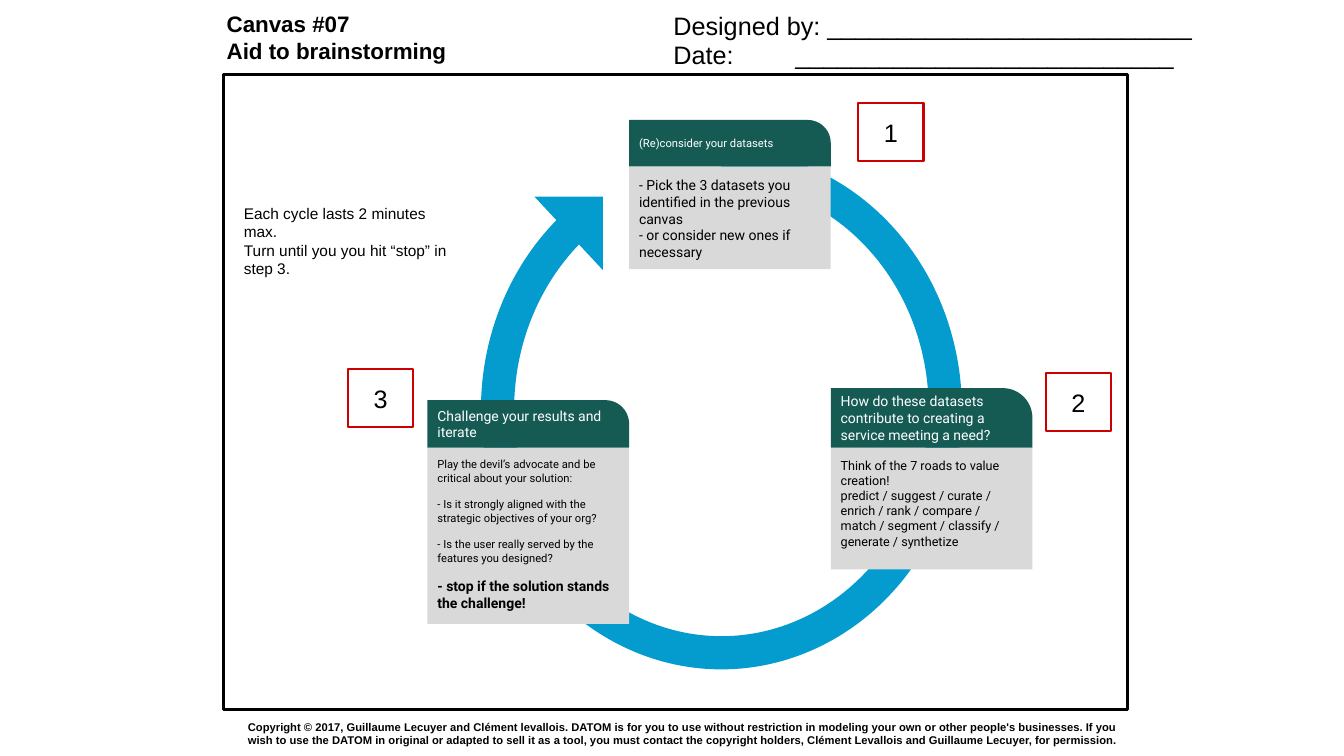
from dataclasses import dataclass

from lxml.etree import SubElement
from pptx import Presentation
from pptx.dml.color import RGBColor
from pptx.enum.shapes import MSO_SHAPE
from pptx.enum.text import MSO_ANCHOR, PP_ALIGN
from pptx.oxml.ns import qn
from pptx.util import Inches, Pt


@dataclass(frozen=True)
class Theme:
    """Colours, fonts and type sizes of the canvas."""
    black: str = "000000"
    white: str = "FFFFFF"
    blue: str = "049CCF"
    green: str = "155B54"
    grey: str = "D9D9D9"
    red: str = "CC0000"
    label_font: str = "Arial"
    card_font: str = "Roboto"
    tiny: float = 8
    small: float = 9
    body: float = 10
    note: float = 11
    title: float = 16
    large: float = 18
    inset: float = 0.1
    paragraph_gap: float = 9.4


THEME = Theme()


@dataclass(frozen=True)
class Style:
    """Character style of a paragraph."""
    size: float
    font: str = THEME.label_font
    color: str = THEME.black
    bold: bool = False


def write(box, lines, anchor=MSO_ANCHOR.TOP, align=PP_ALIGN.LEFT, gap=0):
    """Fill a box with (text, style) paragraphs; newlines become line breaks."""
    frame = box.text_frame
    frame.word_wrap = True
    frame.vertical_anchor = anchor
    frame.margin_left = frame.margin_right = Inches(THEME.inset)
    frame.margin_top = frame.margin_bottom = Inches(THEME.inset)
    for index, (text, style) in enumerate(lines):
        para = frame.add_paragraph() if index else frame.paragraphs[0]
        para.alignment = align
        if index and gap:
            para.space_before = Pt(gap)
        for number, piece in enumerate(text.split("\n")):
            if number:
                para.add_line_break()
            span = para.add_run()
            span.text = piece
            span.font.size = Pt(style.size)
            span.font.name = style.font
            span.font.bold = style.bold
            span.font.color.rgb = RGBColor.from_string(style.color)


def add_text(page, place, lines, **options):
    """Add a wrapped text box."""
    box = page.shapes.add_textbox(*map(Inches, place))
    write(box, lines, **options)
    return box


def add_block(shapes, kind, place, fill=None, line=None, width=0):
    """Add a flat preset shape with an optional fill and outline."""
    box = shapes.add_shape(kind, *map(Inches, place))
    box.shadow.inherit = False
    if fill:
        box.fill.solid()
        box.fill.fore_color.rgb = RGBColor.from_string(fill)
    else:
        box.fill.background()
    if line:
        box.line.color.rgb = RGBColor.from_string(line)
        box.line.width = Pt(width)
    else:
        box.line.fill.background()
    return box


def add_cycle(page):
    """Add the circular arrow behind the cards."""
    group = page.shapes.add_group_shape()
    ring = add_block(group.shapes, MSO_SHAPE.BLOCK_ARC, (4.77, 1.48, 4.77, 5.16), THEME.blue)
    for index, value in enumerate((53.998, 30.127, 0.069)):
        ring.adjustments[index] = value
    head = add_block(group.shapes, MSO_SHAPE.RIGHT_TRIANGLE, (5.3, 1.95, 0.68, 0.73), THEME.blue)
    ring.rotation = head.rotation = 180


def add_card(page, left, body_top, header_height, body_height, title, title_size, lines, gap=0):
    """Add a grey card with a green header ending at the top of its body."""
    body = add_block(page.shapes, MSO_SHAPE.RECTANGLE, (left, body_top, 2, body_height), THEME.grey)
    write(body, lines, gap=gap)
    place = (left, body_top - header_height, 2, header_height)
    header = add_block(page.shapes, MSO_SHAPE.ROUND_1_RECTANGLE, place, THEME.green)
    header.adjustments[0] = 0.5
    style = Style(title_size, THEME.card_font, THEME.white)
    write(header, [(title, style)], MSO_ANCHOR.MIDDLE)


def add_step(page, left, top, number):
    """Add a red-outlined step number."""
    place = (left, top, 0.65, 0.58)
    box = add_block(page.shapes, MSO_SHAPE.RECTANGLE, place, line=THEME.red, width=1.5)
    write(box, [(str(number), Style(THEME.large))], MSO_ANCHOR.MIDDLE, PP_ALIGN.CENTER)


def add_tab_stop(box, position):
    """Give the first paragraph of a box one left tab stop."""
    properties = box.text_frame.paragraphs[0]._p.get_or_add_pPr()
    stops = SubElement(properties, qn("a:tabLst"))
    SubElement(stops, qn("a:tab"), pos=str(Inches(position)), algn="l")


def add_cards(page):
    """Add the three cards of the cycle."""
    tiny, small, body = (Style(size, THEME.card_font) for size in (THEME.tiny, THEME.small, THEME.body))
    strong = Style(THEME.body, THEME.card_font, bold=True)
    add_card(page, 8.24, 4.44, 0.59, 1.21,
             "How do these datasets contribute to creating a service meeting a need?", THEME.body, [
                 ("Think of the 7 roads to value creation!", small),
                 ("predict / suggest / curate / enrich / rank / compare / match / segment / "
                  "classify / generate / synthetize", small)])
    add_card(page, 6.24, 1.65, 0.46, 1.02, "(Re)consider your datasets", THEME.tiny, [
        ("- Pick the 3 datasets you identified in the previous canvas", body),
        ("- or consider new ones if necessary", body)])
    add_card(page, 4.24, 4.44, 0.47, 1.75, "Challenge your results and iterate", THEME.body, [
        ("Play the devil’s advocate and be critical about your solution:", tiny),
        ("- Is it strongly aligned with the strategic objectives of your org?", tiny),
        ("- Is the user really served by the features you designed?", tiny),
        ("- stop if the solution stands the challenge!", strong)], THEME.paragraph_gap)


def main():
    """Build the brainstorming canvas."""
    deck = Presentation()
    deck.slide_width, deck.slide_height = Inches(13.33), Inches(7.5)
    page = deck.slides.add_slide(deck.slide_layouts[6])
    title, field = Style(THEME.title, bold=True), Style(THEME.large)

    add_block(page.shapes, MSO_SHAPE.RECTANGLE, (2.22, 0.74, 8.96, 6.3), line=THEME.black, width=2.25)
    add_text(page, (2.15, 0, 4.66, 0.74), [("Canvas #07", title), ("Aid to brainstorming", title)])
    add_cycle(page)
    add_cards(page)
    add_text(page, (2.32, 1.92, 2.36, 1.01), [
        ("Each cycle lasts 2 minutes max.\nTurn until you you hit “stop” in step 3.", Style(THEME.note))])
    for number, (left, top) in enumerate([(8.51, 1.02), (10.37, 3.7), (3.45, 3.66)], 1):
        add_step(page, left, top, number)
    add_text(page, (6.58, 0, 5.92, 0.45), [("Designed by: " + "_" * 26, field)])
    date = add_text(page, (6.58, 0.29, 5.61, 0.45), [("Date:\t" + "_" * 27, field)])
    add_tab_stop(date, 1.21)
    add_text(page, (2.36, 7.13, 8.96, 0.3), [
        ("Copyright © 2017, Guillaume Lecuyer and Clément levallois. DATOM is for you to use without "
         "restriction in modeling your own or other people's businesses. If you wish to use the DATOM "
         "in original or adapted to sell it as a tool, you must contact the copyright holders, Clément "
         "Levallois and Guillaume Lecuyer, for permission.", Style(THEME.tiny, bold=True))],
        anchor=MSO_ANCHOR.MIDDLE)
    deck.save("out.pptx")


if __name__ == "__main__":
    main()
